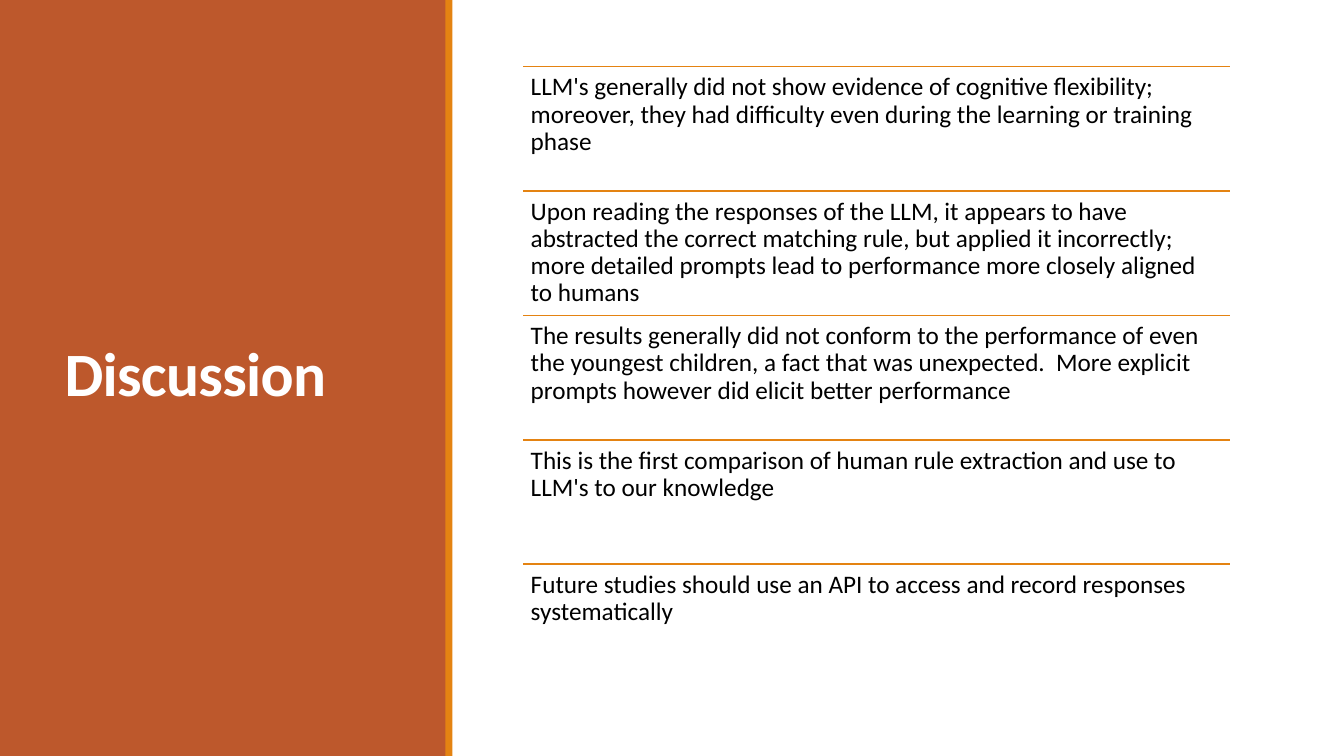
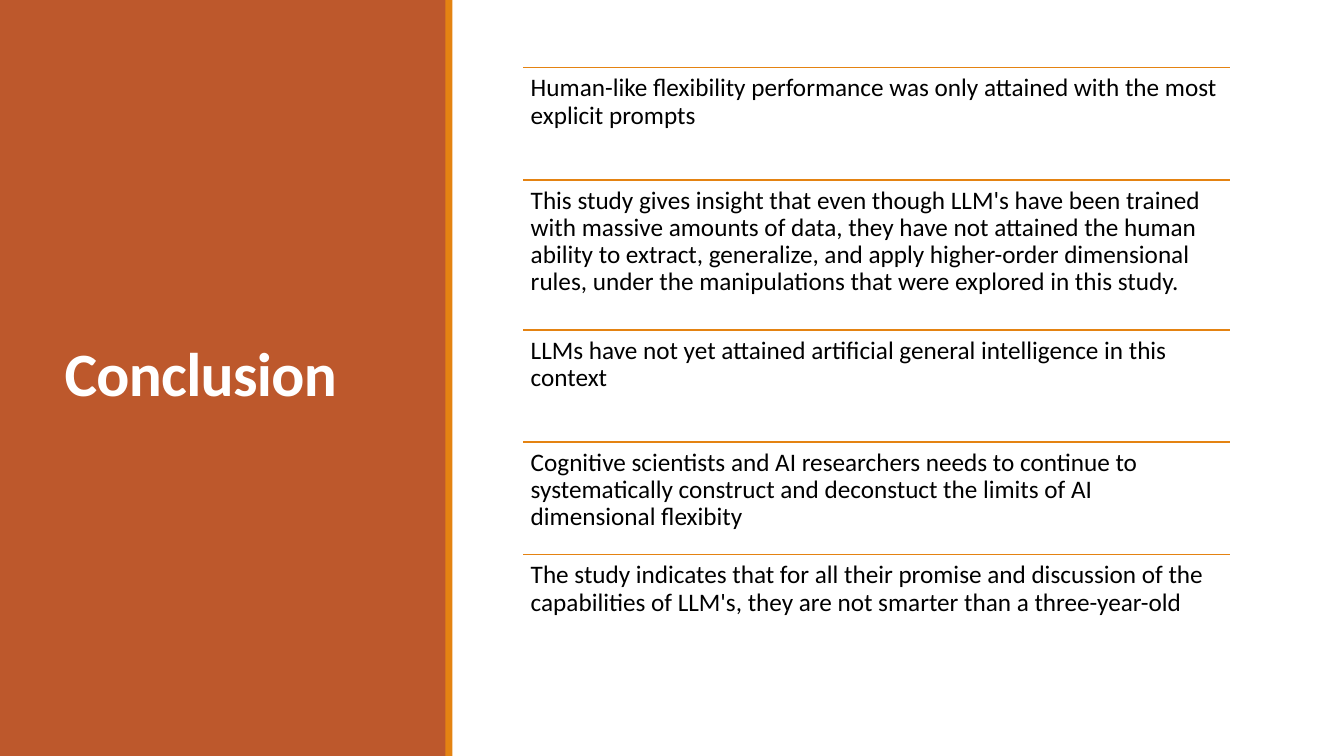
from lxml import etree
from pptx import Presentation
from pptx.dml.color import RGBColor
from pptx.enum import shapes, text
from pptx.oxml.ns import qn
from pptx.util import Pt

COLORS = {"rust": "BD582C", "orange": "E48312", "white": "FFFFFF", "black": "000000"}
FONT = "Calibri"
PAGE_WIDTH, PAGE_HEIGHT = 960, 540
LIST_LEFT, LIST_WIDTH = 373.7, 504.7
INSET = 5.4

# Each page: title, top of the list, then (row height, statement)
PAGES = [
    ("Discussion", 47.5, [
        (88.9, "LLM's generally did not show evidence of cognitive flexibility; moreover, "
               "they had difficulty even during the learning or training phase"),
        (88.9, "Upon reading the responses of the LLM, it appears to have abstracted the "
               "correct matching rule, but applied it incorrectly; more detailed prompts "
               "lead to performance more closely aligned to humans"),
        (88.9, "The results generally did not conform to the performance of even the "
               "youngest children, a fact that was unexpected.  More explicit prompts "
               "however did elicit better performance"),
        (88.9, "This is the first comparison of human rule extraction and use to LLM's "
               "to our knowledge"),
        (88.9, "Future studies should use an API to access and record responses "
               "systematically"),
    ]),
    ("Conclusion", 48.2, [
        (80.3, "Human-like flexibility performance was only attained with the most "
               "explicit prompts"),
        (107, "This study gives insight that even though LLM's have been trained with "
              "massive amounts of data, they have not attained the human ability to "
              "extract, generalize, and apply higher-order dimensional rules, under the "
              "manipulations that were explored in this study."),
        (80.3, "LLMs have not yet attained artificial general intelligence in this context"),
        (80.3, "Cognitive scientists and AI researchers needs to continue to "
               "systematically construct and deconstuct the limits of AI dimensional "
               "flexibity"),
        (96, "The study indicates that for all their promise and discussion of the "
             "capabilities of LLM's, they are not smarter than a three-year-old"),
    ]),
]


def color(name):
    return RGBColor.from_string(COLORS[name])


def style_text(frame, size, color_name, line_spacing):
    """Format the only paragraph of a frame and return its run."""
    frame.word_wrap = True
    frame.auto_size = text.MSO_AUTO_SIZE.NONE
    para = frame.paragraphs[0]
    para.alignment = text.PP_ALIGN.LEFT
    para.line_spacing = line_spacing
    span = para.runs[0]
    span.font.name = FONT
    span.font.size = Pt(size)
    span.font.color.rgb = color(color_name)
    return span


deck = Presentation()
deck.slide_width, deck.slide_height = Pt(PAGE_WIDTH), Pt(PAGE_HEIGHT)
layout = deck.slide_layouts.get_by_name("Title Only")
pages = [deck.slides.add_slide(layout) for _ in PAGES]

# Shared layout: title place, and side panel with its edge stripe behind it
layout_title = layout.placeholders[0]
layout_title.left, layout_title.top = Pt(38.9), Pt(47.5)
layout_title.width, layout_title.height = Pt(249.8), Pt(444.2)

for index, (left, width, fill) in enumerate([(0, 319, "rust"), (318.2, 5, "orange")]):
    band = pages[0].shapes.add_shape(
        shapes.MSO_SHAPE.RECTANGLE, Pt(left), 0, Pt(width), Pt(PAGE_HEIGHT))
    band.shadow.inherit = False
    band.fill.solid()
    band.fill.fore_color.rgb = color(fill)
    band.line.fill.background()
    layout.shapes.element.insert(2 + index, band.element)

for page, (heading, top, rows) in zip(pages, PAGES):
    # Title
    title = page.shapes.title
    title.text_frame.text = heading
    title.text_frame.vertical_anchor = text.MSO_ANCHOR.MIDDLE
    span = style_text(title.text_frame, 44, "white", 0.85)
    span.font.bold = True
    span.font._element.set("spc", "-50")

    # Ruled list of statements
    for height, statement in rows:
        rule = page.shapes.add_connector(
            shapes.MSO_CONNECTOR.STRAIGHT,
            Pt(LIST_LEFT), Pt(top), Pt(LIST_LEFT + LIST_WIDTH), Pt(top))
        rule.line.color.rgb = color("orange")
        rule.line.width = Pt(1.25)
        etree.SubElement(rule._element.spPr, qn("a:effectLst"))

        box = page.shapes.add_textbox(Pt(LIST_LEFT), Pt(top), Pt(LIST_WIDTH), Pt(height))
        frame = box.text_frame
        frame.text = statement
        frame.margin_left = frame.margin_right = Pt(INSET)
        frame.margin_top = frame.margin_bottom = Pt(INSET)
        style_text(frame, 18, "black", 0.9)
        top += height

deck.save("out.pptx")
